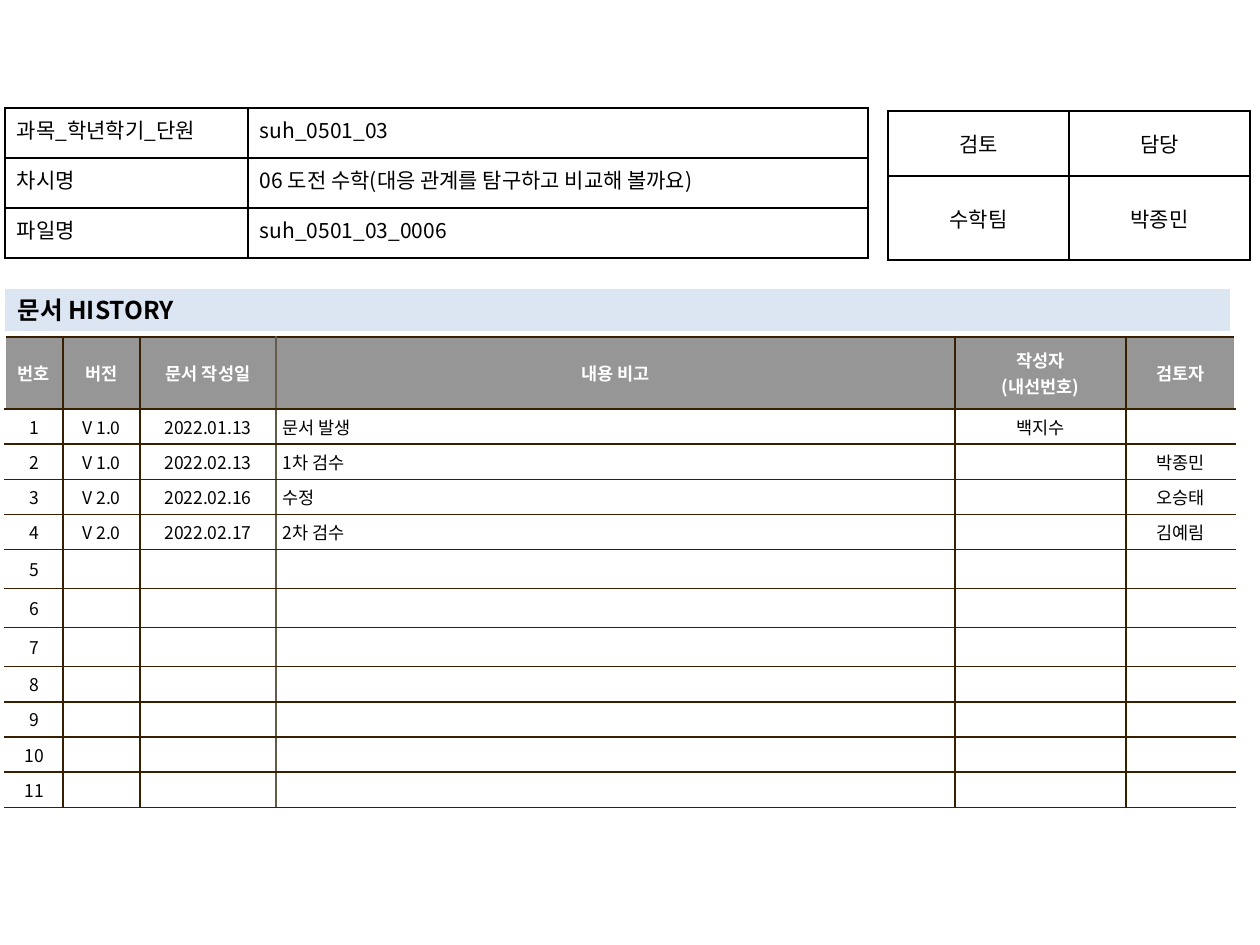
from lxml.etree import SubElement as Sub
from pptx import Presentation
from pptx.dml.color import RGBColor
from pptx.enum.text import MSO_ANCHOR as Anchor, PP_ALIGN as Align
from pptx.oxml.ns import qn
from pptx.util import Pt

FONT = "Noto Sans CJK KR"
BLACK, WHITE, GRAY, PALE = "000000", "FFFFFF", "969696", "DCE6F2"
BROWN, TAUPE = "362000", "645B4C"
TITLE = "문서 HISTORY"

INFO = [
    ("과목_학년학기_단원 ", "suh_0501_03"),
    ("차시명", "06 도전 수학(대응 관계를 탐구하고 비교해 볼까요)"),
    ("파일명", "suh_0501_03_0006"),
]
SIGN = [("검토", "담당"), ("수학팀", "박종민")]
HEAD = ("번호", "버전", "문서 작성일", "내용 비고", "작성자\n(내선번호)", "검토자")
LOG = [
    ("V 1.0", "2022.01.13", "문서 발생", "백지수", ""),
    ("V 1.0", "2022.02.13", "1차 검수", "", "박종민"),
    ("V 2.0", "2022.02.16", "수정", "", "오승태"),
    ("V 2.0", "2022.02.17", "2차 검수", "", "김예림"),
] + [("",) * 5] * 7
HISTORY = [HEAD] + [(str(num), *row) for num, row in enumerate(LOG, 1)]
NOTE, CHECK = 3, 5
INDENT = {NOTE: 24, CHECK: 11}


def px(num):
    return round(num * 914400 / 126)


def rgb(code):
    return RGBColor.from_string(code)


def style(frame, size, color=BLACK, bold=False, align=Align.LEFT):
    for para in frame.paragraphs:
        para.alignment = align
        for run in para.runs:
            font = run.font
            font.size, font.bold, font.name = Pt(size), bold, FONT
            font.color.rgb = rgb(color)
            Sub(font._element, qn("a:ea"), typeface=FONT)
        if not para.runs:
            Sub(para._p, qn("a:endParaRPr"), sz=str(size * 100))


def border(cell, sides):
    props = cell._tc.get_or_add_tcPr()
    for side, color in sides.items():
        line = Sub(props, qn("a:ln" + side), w=str(Pt(1)))
        fill = Sub(line, qn("a:solidFill"))
        Sub(fill, qn("a:srgbClr"), val=color)


def grid(slide, data, left, top, cols, rows):
    frame = slide.shapes.add_table(len(rows), len(cols), px(left), px(top),
                                   px(sum(cols)), px(sum(rows)))
    table = frame.table
    table.first_row = table.horz_banding = False
    for col, width in zip(table.columns, cols):
        col.width = px(width)
    for row, height in zip(table.rows, rows):
        row.height = px(height)
    for r, row in enumerate(data):
        for c, text in enumerate(row):
            cell = table.cell(r, c)
            cell.text_frame.text = text
            yield r, c, cell


def pad(cell, side, end):
    cell.margin_left = cell.margin_right = px(side)
    cell.margin_top = cell.margin_bottom = px(end)


def box(cell, anchor, align):
    border(cell, dict.fromkeys("LRTB", BLACK))
    cell.fill.background()
    pad(cell, 12, 6)
    cell.vertical_anchor = anchor
    style(cell.text_frame, 12, align=align)


def entry(r, c, cell):
    sides = dict.fromkeys("LRTB", BROWN)
    if c == 0:
        del sides["L"]
    if c == CHECK:
        del sides["R"]
    if c == NOTE:
        sides["L"] = TAUPE
    if c == NOTE - 1:
        sides["R"] = TAUPE
    border(cell, sides)
    head = r == 0
    cell.fill.solid()
    cell.fill.fore_color.rgb = rgb(GRAY if head else WHITE)
    pad(cell, 7, 5)
    cell.vertical_anchor = Anchor.MIDDLE
    align = Align.LEFT if c == NOTE and not head else Align.CENTER
    style(cell.text_frame, 10, WHITE if head else BLACK, head, align)
    if c in INDENT and not head and cell.text_frame.text:
        props = cell.text_frame.paragraphs[0]._p.get_or_add_pPr()
        props.set("marL", str(px(INDENT[c])))
        props.set("indent", str(-px(INDENT[c])))


def main():
    deck = Presentation()
    deck.slide_width, deck.slide_height = px(1260), px(945)
    slide = deck.slides.add_slide(deck.slide_layouts[5])

    rows = [72] + [35] * 4 + [39] * 3 + [35] * 4
    for r, c, cell in grid(slide, HISTORY, 5, 337,
                           [58, 77, 136, 679, 171, 109], rows):
        entry(r, c, cell)

    for r, c, cell in grid(slide, SIGN, 888, 111, [181, 181], [65, 84]):
        box(cell, Anchor.MIDDLE, Align.CENTER)

    for r, c, cell in grid(slide, INFO, 5, 108, [243, 620], [50] * 3):
        box(cell, Anchor.TOP, Align.LEFT if c else Align.JUSTIFY)

    title = slide.shapes.title
    title.left, title.top = px(5), px(289)
    title.width, title.height = px(1225), px(42)
    title.fill.solid()
    title.fill.fore_color.rgb = rgb(PALE)
    title.text_frame.text = TITLE
    title.text_frame.vertical_anchor = Anchor.MIDDLE
    style(title.text_frame, 14, bold=True)
    deck.save("out.pptx")


if __name__ == "__main__":
    main()
